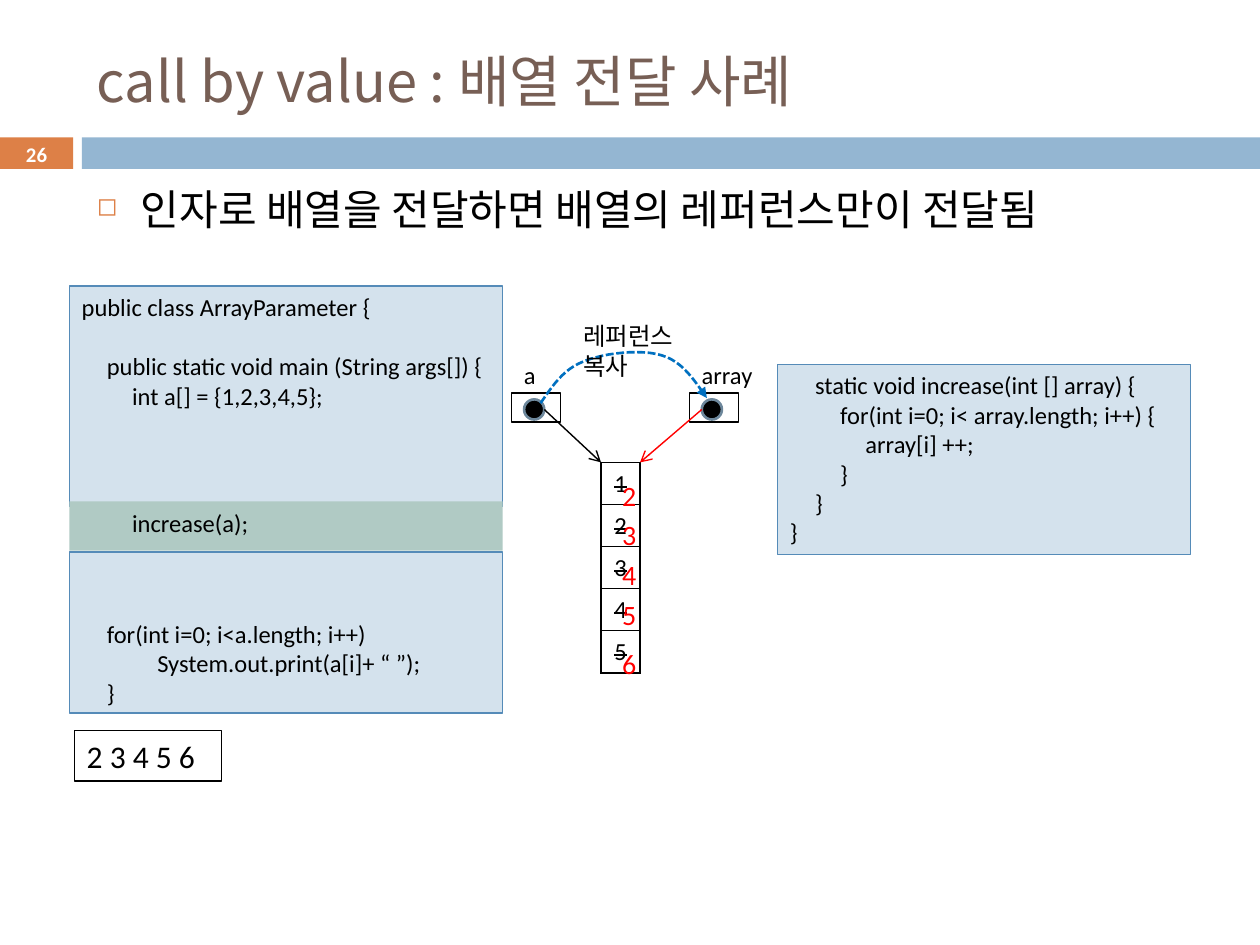
from pptx import Presentation
from pptx.dml.color import RGBColor
from pptx.enum.dml import MSO_LINE
from pptx.enum.shapes import MSO_CONNECTOR, MSO_SHAPE
from pptx.enum.text import MSO_ANCHOR, PP_ALIGN
from pptx.oxml.ns import qn
from pptx.util import Inches, Pt
from lxml.etree import SubElement


def rgb(code):
    """Turn a hex string into a colour."""
    return RGBColor.from_string(code)


def node(parent, tag, **attrs):
    """Append an XML element with attributes."""
    return SubElement(parent, qn(tag), attrs)


def bezier(start, ctrl1, ctrl2, end, steps=12):
    """Return points along a cubic curve, without its start."""
    points = []
    for i in range(1, steps + 1):
        t = i / steps
        u = 1 - t
        weights = (u**3, 3 * u * u * t, 3 * u * t * t, t**3)
        points.append(tuple(
            Inches(sum(w * v for w, v in zip(weights, axis)))
            for axis in zip(start, ctrl1, ctrl2, end)))
    return points


class Deck:
    """Hold the style and the current slide."""

    font = "Calibri"
    hangul = "Noto Sans CJK KR"
    black, white, red = "000000", "FFFFFF", "FF0000"
    blue, orange, brown = "94B6D2", "DD8047", "775F55"
    pale, green, edge = "D4E2ED", "B0CAC4", "558BB8"
    tab = 0.2

    def __init__(self):
        """Open a deck with one blank slide."""
        self.prs = Presentation()
        self.prs.slide_width, self.prs.slide_height = Inches(10), Inches(7.5)
        slide = self.prs.slides.add_slide(self.prs.slide_layouts[6])
        self.shapes = slide.shapes

    def style(self, para, size, color=black, font=font, align=PP_ALIGN.LEFT):
        """Set the font and alignment of a paragraph."""
        para.alignment = align
        para.font.size = Pt(size)
        para.font.name = font
        para.font.color.rgb = rgb(color)

    def box(self, x, y, w, h, fill=None, line=None, width=0.75,
            kind=MSO_SHAPE.RECTANGLE):
        """Add a preset shape."""
        shape = self.shapes.add_shape(
            kind, Inches(x), Inches(y), Inches(w), Inches(h))
        shape.shadow.inherit = False
        if fill:
            shape.fill.solid()
            shape.fill.fore_color.rgb = rgb(fill)
        else:
            shape.fill.background()
        if line:
            shape.line.color.rgb = rgb(line)
            shape.line.width = Pt(width)
        else:
            shape.line.fill.background()
        return shape

    def text(self, x, y, w, h, words, size=14, wrap=True,
             anchor=MSO_ANCHOR.TOP, **look):
        """Add a text box and return its paragraph."""
        frame = self.shapes.add_textbox(
            Inches(x), Inches(y), Inches(w), Inches(h)).text_frame
        frame.word_wrap = wrap
        frame.vertical_anchor = anchor
        para = frame.paragraphs[0]
        para.text = words
        self.style(para, size, **look)
        return para

    def bullet(self, para):
        """Give a paragraph a small square bullet."""
        props = para._p.get_or_add_pPr()
        props.set("marL", str(Inches(0.35)))
        props.set("indent", str(Inches(-0.35)))
        items = [node(props, "a:buClr"),
                 node(props, "a:buSzPct", val="60000"),
                 node(props, "a:buChar", char="◻")]
        node(items[0], "a:srgbClr", val=self.orange)
        first = props.find(qn("a:defRPr"))
        for item in items:
            first.addprevious(item)

    def code(self, x, y, w, h, lines, fill=pale, line=edge, size=14,
             anchor=MSO_ANCHOR.TOP, gap=0):
        """Add a code box, indented by leading tabs, with a gap after line one."""
        frame = self.box(x, y, w, h, fill, line).text_frame
        frame.word_wrap = True
        frame.vertical_anchor = anchor
        for i, words in enumerate(lines):
            para = frame.add_paragraph() if i else frame.paragraphs[0]
            para.text = words.lstrip("\t")
            self.style(para, size)
            depth = len(words) - len(para.text)
            para._p.get_or_add_pPr().set("marL", str(Inches(self.tab * depth)))
            if i == 1:
                para.space_before = Pt(gap)

    def stack(self, x, y, w, h, values):
        """Add a one-column table of struck-out values."""
        table = self.shapes.add_table(
            len(values), 1, Inches(x), Inches(y), Inches(w), Inches(h)).table
        table.columns[0].width = Inches(w)
        for row, value in enumerate(values):
            table.rows[row].height = Inches(h / len(values))
            cell = table.cell(row, 0)
            cell.text = value
            para = cell.text_frame.paragraphs[0]
            self.style(para, 14, align=PP_ALIGN.CENTER)
            para.font.bold = False
            para.font._rPr.set("strike", "sngStrike")
            props = cell._tc.get_or_add_tcPr()
            for side in ("a:lnL", "a:lnR", "a:lnT", "a:lnB"):
                edge = node(props, side, w=str(Pt(1)))
                node(node(edge, "a:solidFill"), "a:srgbClr", val=self.black)
            cell.fill.background()

    def arrow(self, start, end, color):
        """Add a straight arrow."""
        line = self.shapes.add_connector(
            MSO_CONNECTOR.STRAIGHT, *map(Inches, start + end))
        line.line.color.rgb = rgb(color)
        line.line.width = Pt(0.79)
        node(line.line._get_or_add_ln(), "a:tailEnd", type="arrow")
        node(line._element.spPr, "a:effectLst")

    def curve(self, start, parts, color):
        """Add a dashed curved arrow."""
        path = self.shapes.build_freeform(*map(Inches, start))
        for part in parts:
            path.add_line_segments(bezier(start, *part), close=False)
            start = part[-1]
        shape = path.convert_to_shape()
        shape.shadow.inherit = False
        shape.fill.background()
        shape.line.color.rgb = rgb(color)
        shape.line.width = Pt(1.5)
        shape.line.dash_style = MSO_LINE.SQUARE_DOT
        node(shape.line._get_or_add_ln(), "a:tailEnd", type="triangle")

    def ref(self, x, name, left, width):
        """Add a named reference cell with a dot."""
        self.text(left, 2.81, width, 0.34, name, wrap=False)
        self.box(x, 3.12, 0.39, 0.23, line=self.black)
        self.box(x + 0.1, 3.17, 0.16, 0.16, self.black, "6D879B", 1.5,
                 MSO_SHAPE.FLOWCHART_CONNECTOR)


def main():
    """Build the slide."""
    deck = Deck()
    deck.box(0, 1.09, 0.58, 0.25, deck.orange)
    deck.box(0.65, 1.09, 9.35, 0.25, deck.blue)
    deck.text(0.67, 0.25, 8.92, 0.77, "call by value : 배열 전달 사례", 32,
              anchor=MSO_ANCHOR.MIDDLE, color=deck.brown, font=deck.hangul)
    body = deck.text(0.67, 1.41, 8.92, 0.78,
                     "인자로 배열을 전달하면 배열의 레퍼런스만이 전달됨", 24,
                     font=deck.hangul)
    deck.bullet(body)
    page = deck.text(0, 1.09, 0.58, 0.27, "26", 11.9, color=deck.white,
                     anchor=MSO_ANCHOR.MIDDLE, align=PP_ALIGN.CENTER)
    page.font.bold = True

    deck.code(0.55, 2.27, 3.44, 1.75, [
        "public class ArrayParameter {",
        "\tpublic static void main (String args[]) {",
        "\t\tint a[] = {1,2,3,4,5};"], gap=17)
    deck.code(0.55, 3.98, 3.44, 0.39, ["\t\tincrease(a);"], deck.green, None)
    deck.code(0.55, 4.38, 3.44, 1.28, [
        "\tfor(int i=0; i<a.length; i++)",
        "\t\t\tSystem.out.print(a[i]+ “ ”);",
        "\t}"], anchor=MSO_ANCHOR.BOTTOM)
    deck.code(6.17, 2.89, 3.28, 1.51, [
        "\tstatic void increase(int [] array) {",
        "\t\tfor(int i=0; i< array.length; i++) {",
        "\t\t\tarray[i] ++;", "\t\t}", "\t}", "}"])
    deck.code(0.59, 5.8, 1.17, 0.4, ["2 3 4 5 6"], None, deck.black, 18)

    deck.stack(4.77, 3.67, 0.31, 1.67, "12345")
    for value, top in zip("23456", (3.75, 4.06, 4.38, 4.69, 5.08)):
        deck.text(4.84, top, 0.33, 0.37, value, 16, False, color=deck.red)
    deck.ref(4.06, "a", 4.06, 0.31)
    deck.ref(5.47, "array", 5.47, 0.64)
    deck.arrow((4.32, 3.25), (4.77, 3.67), deck.black)
    deck.arrow((5.57, 3.25), (5.08, 3.67), deck.red)
    deck.curve((4.29, 3.2), [
        ((4.38, 3.07), (4.47, 2.93), (4.63, 2.87)),
        ((4.79, 2.8), (5.09, 2.77), (5.25, 2.82)),
        ((5.42, 2.87), (5.51, 3.02), (5.61, 3.16))], "0070C0")
    deck.text(4.53, 2.5, 0.93, 0.34, "레퍼런스 복사")
    deck.prs.save("out.pptx")


if __name__ == "__main__":
    main()
